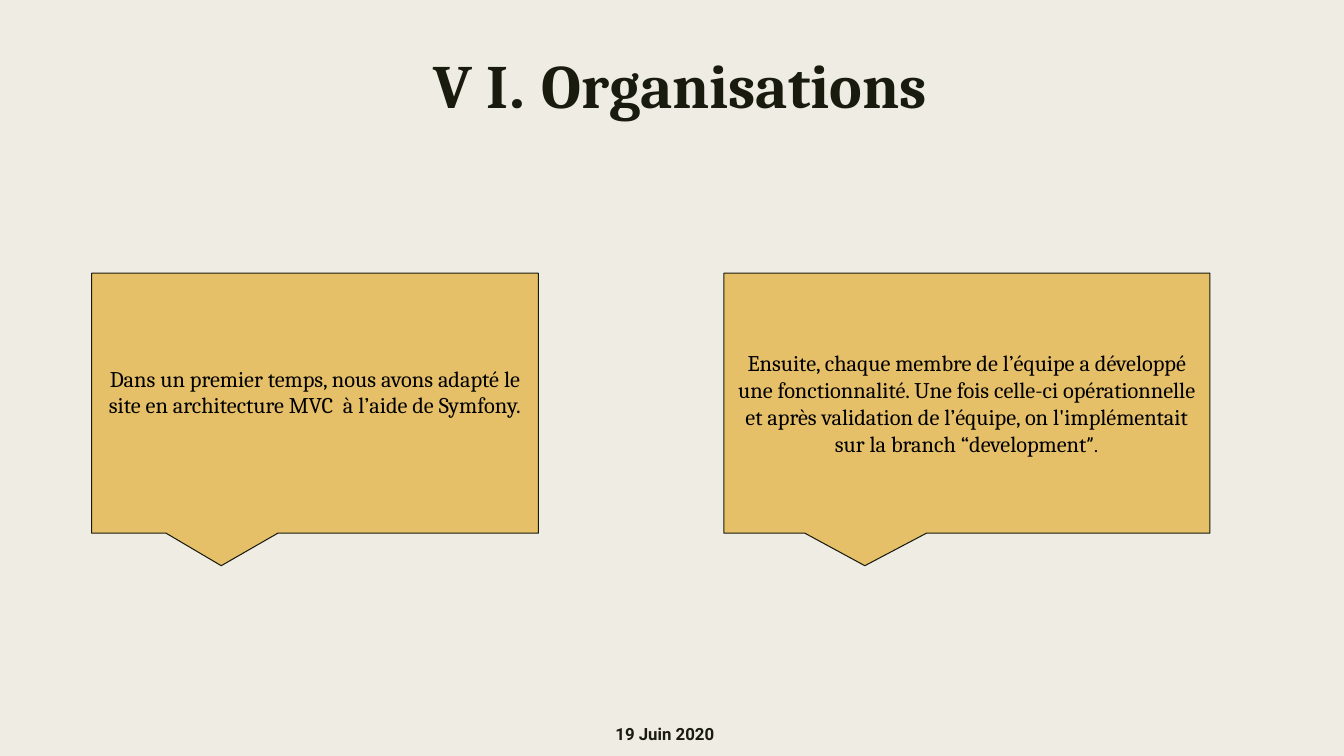
from dataclasses import dataclass

from pptx import Presentation
from pptx.dml.color import RGBColor
from pptx.enum.shapes import MSO_SHAPE
from pptx.enum.text import MSO_ANCHOR, MSO_AUTO_SIZE, PP_ALIGN
from pptx.util import Emu, Pt

PX = 9144
INK = "191B0E"
PAPER = "EFEDE3"
GOLD = "E6C069"
BLACK = "000000"
SERIF = "Cambria"
SANS = "Roboto"


@dataclass(frozen=True)
class Span:
    text: str
    size: int
    font: str = SERIF
    color: str = BLACK
    bold: bool = False


@dataclass(frozen=True)
class Callout:
    left: int
    width: int
    bottom_inset: int
    spans: tuple[Span, ...]


CALLOUTS = (
    Callout(91, 443, 33, (
        Span("Dans un premier temps, nous avons adapté le site en "
             "architecture MVC  à l’aide de Symfony.", 16),
    )),
    Callout(718, 482, 10, (
        Span("Ensuite, chaque membre de l’équipe a développé une "
             "fonctionnalité. Une fois celle-ci opérationnelle et après "
             "validation de l’équipe, on l'implémentait sur la branch "
             "“development", 16),
        Span("”.", 14, SANS),
    )),
)
TITLE = (
    Span("V I", 44, SERIF, INK, True),
    Span(". ", 44, SANS, INK, True),
    Span("Organisations", 44, SERIF, INK, True),
)
DATE = (Span("19 Juin 2020", 12, SANS, INK, True),)


def px(n: int) -> Emu:
    return Emu(n * PX)


def paint(target, color: str) -> None:
    target.solid()
    target.fore_color.rgb = RGBColor.from_string(color)


def write(tf, spans: tuple[Span, ...], anchor: MSO_ANCHOR) -> None:
    tf.word_wrap = True
    tf.auto_size = MSO_AUTO_SIZE.NONE
    tf.vertical_anchor = anchor
    p = tf.paragraphs[0]
    p.alignment = PP_ALIGN.CENTER
    for span in spans:
        r = p.add_run()
        r.text = span.text
        r.font.size = Pt(span.size)
        r.font.name = span.font
        r.font.bold = span.bold
        paint(r.font.fill, span.color)
        r._r.get_or_add_rPr().set("kern", "0")


def add_backdrop(slide, width: Emu, height: Emu) -> None:
    sp = slide.shapes.add_shape(MSO_SHAPE.RECTANGLE, 0, 0, width, height)
    sp.shadow.inherit = False
    paint(sp.fill, PAPER)
    sp.line.fill.background()
    slide.shapes._spTree.insert(2, sp._element)


def add_callout(slide, callout: Callout) -> None:
    sp = slide.shapes.add_shape(
        MSO_SHAPE.RECTANGULAR_CALLOUT,
        px(callout.left), px(271), px(callout.width), px(258))
    sp.shadow.inherit = False
    sp.adjustments[0] = -0.21
    sp.adjustments[1] = 0.625
    paint(sp.fill, GOLD)
    paint(sp.line.fill, INK)
    sp.line.width = Pt(0.75)
    tf = sp.text_frame
    tf.margin_left = tf.margin_right = tf.margin_top = px(10)
    tf.margin_bottom = px(callout.bottom_inset)
    write(tf, callout.spans, MSO_ANCHOR.MIDDLE)


def main() -> None:
    prs = Presentation()
    prs.slide_width, prs.slide_height = px(1333), px(750)
    slide = prs.slides.add_slide(prs.slide_layouts[5])
    paint(slide.background.fill, PAPER)
    add_backdrop(slide, prs.slide_width, prs.slide_height)

    title = slide.shapes.title
    title.left, title.top = px(150), px(50)
    title.width, title.height = px(1050), px(162)
    write(title.text_frame, TITLE, MSO_ANCHOR.TOP)
    title.text_frame.paragraphs[0].line_spacing = 0.89

    date = slide.shapes.add_textbox(px(316), px(706), px(687), px(44))
    write(date.text_frame, DATE, MSO_ANCHOR.MIDDLE)

    for callout in CALLOUTS:
        add_callout(slide, callout)
    prs.save("out.pptx")


if __name__ == "__main__":
    main()
